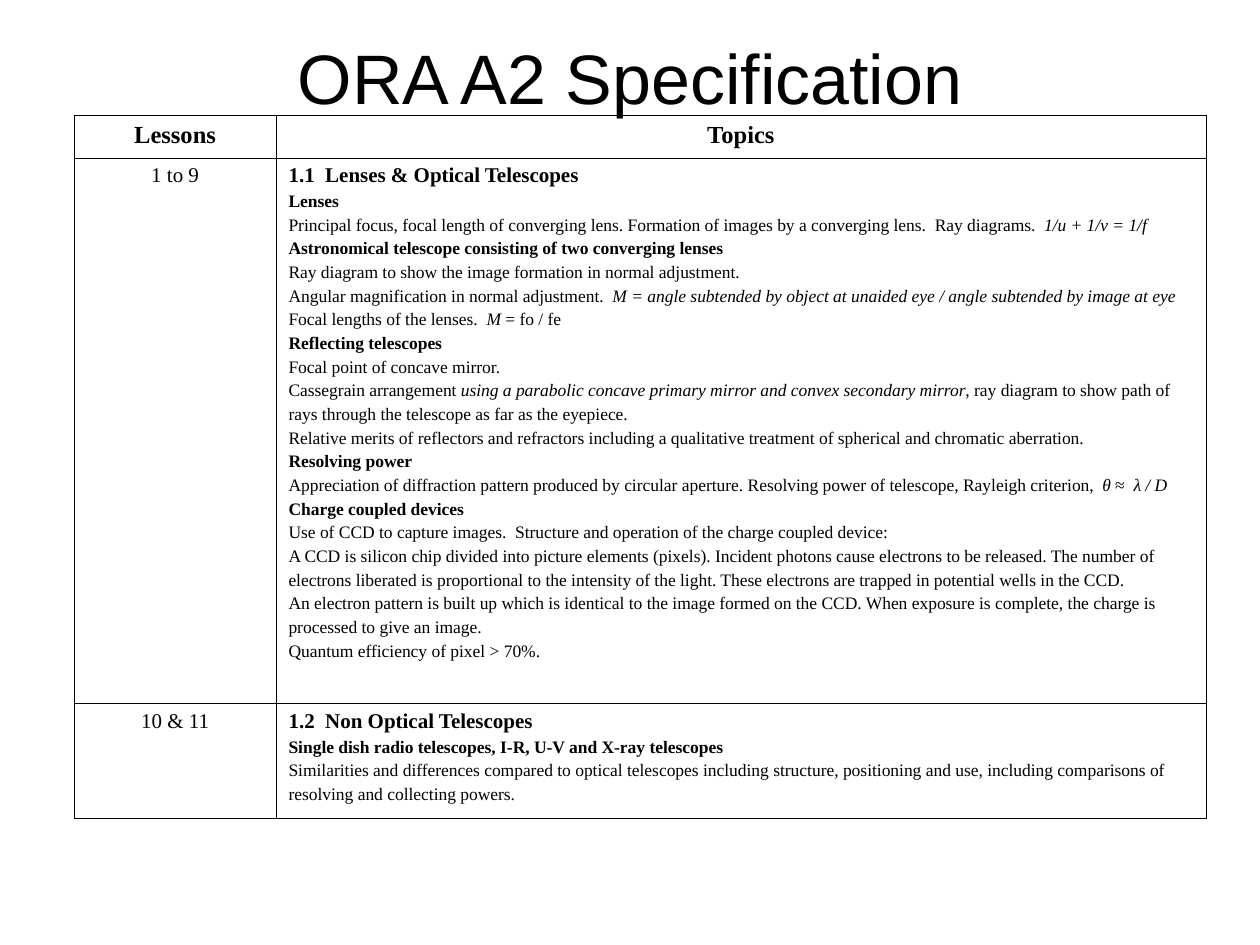
from lxml.etree import SubElement
from pptx import Presentation
from pptx.dml.color import RGBColor
from pptx.enum.text import MSO_ANCHOR as Anchor, PP_ALIGN as Align
from pptx.oxml.ns import qn
from pptx.util import Pt

INK = "000000"
SERIF = "Times New Roman"
TITLE = {"name": "Arial", "size": Pt(40), "bold": False}
HEAD = {"name": SERIF, "size": Pt(14), "bold": True}
SPAN = {"name": SERIF, "size": Pt(12), "bold": False}
UNIT = {"name": SERIF, "size": Pt(12), "bold": True}
SUB = {"name": SERIF, "size": Pt(10), "bold": True}
BODY = {"name": SERIF, "size": Pt(10), "bold": False}

LENSES = [
    "1.1  Lenses & Optical Telescopes",
    "#Lenses",
    "Principal focus, focal length of converging lens. Formation of images by a converging lens.  Ray diagrams.  *1/u + 1/v = 1/f*",
    "#Astronomical telescope consisting of two converging lenses",
    "Ray diagram to show the image formation in normal adjustment.",
    "Angular magnification in normal adjustment.*  M = angle subtended by object at unaided eye / angle subtended by image at eye*",
    "Focal lengths of the lenses.  *M *= fo / fe",
    "#Reflecting telescopes",
    "Focal point of concave mirror.",
    "Cassegrain arrangement *using a parabolic concave primary mirror and convex secondary mirror*, ray diagram to show path of",
    "rays through the telescope as far as the eyepiece.",
    "Relative merits of reflectors and refractors including a qualitative treatment of spherical and chromatic aberration.",
    "#Resolving power",
    "Appreciation of diffraction pattern produced by circular aperture. Resolving power of telescope, Rayleigh criterion, * θ *≈  *λ / D*",
    "#Charge coupled devices",
    "Use of CCD to capture images.  Structure and operation of the charge coupled device:",
    "A CCD is silicon chip divided into picture elements (pixels). Incident photons cause electrons to be released. The number of",
    "electrons liberated is proportional to the intensity of the light. These electrons are trapped in potential wells in the CCD.",
    "An electron pattern is built up which is identical to the image formed on the CCD. When exposure is complete, the charge is",
    "processed to give an image.",
    "Quantum efficiency of pixel > 70%.",
]

OTHERS = [
    "1.2  Non Optical Telescopes",
    "#Single dish radio telescopes, I-R, U-V and X-ray telescopes",
    "Similarities and differences compared to optical telescopes including structure, positioning and use, including comparisons of",
    "resolving and collecting powers.",
]

ROWS = [("Lessons", "Topics"), ("1 to 9", LENSES), ("10 & 11", OTHERS)]


def tint(code):
    """Turn a hex string into a colour."""
    return RGBColor.from_string(code)


def write(para, text, style):
    """Write text into a paragraph, with italics between asterisks."""
    for num, part in enumerate(text.split("*")):
        if part:
            run = para.add_run()
            run.text = part
            for key, val in style.items():
                setattr(run.font, key, val)
            run.font.italic = num % 2 == 1
            run.font.color.rgb = tint(INK)


def center(frame, text, style):
    """Write one centred line into a text frame."""
    para = frame.paragraphs[0]
    para.alignment = Align.CENTER
    write(para, text, style)


def topics(frame, lines):
    """Write a unit heading, then its subheadings and body lines."""
    first, *rest = lines
    write(frame.paragraphs[0], first, UNIT)
    for line in rest:
        para = frame.add_paragraph()
        para.space_before = Pt(2.5)
        write(para, line.lstrip("#"), SUB if line.startswith("#") else BODY)


def border(cell):
    """Rule all four sides of a cell."""
    props = cell._tc.get_or_add_tcPr()
    for num, side in enumerate(("lnL", "lnR", "lnT", "lnB")):
        rule = SubElement(props, qn(f"a:{side}"), w=str(Pt(0.45)))
        fill = SubElement(rule, qn("a:solidFill"))
        SubElement(fill, qn("a:srgbClr"), val=INK)
        props.insert(num, rule)


def title(slide, box, text):
    """Place the slide title in its box."""
    frame = slide.shapes.add_textbox(*map(Pt, box)).text_frame
    frame.word_wrap = True
    frame.vertical_anchor = Anchor.MIDDLE
    center(frame, text, TITLE)


def plan(slide, box, rows):
    """Place the table of lessons and topics in its box."""
    width, height = box[2:]
    table = slide.shapes.add_table(len(rows), 2, *map(Pt, box)).table
    table.first_row = table.horz_banding = False
    wide = 115.2
    for col, size in zip(table.columns, (wide, width - wide)):
        col.width = Pt(size)
    head, last = 24.5, 65.5
    for row, size in zip(table.rows, (head, height - head - last, last)):
        row.height = Pt(size)
    for num, (span, text) in enumerate(rows):
        left, right = table.rows[num].cells
        center(left.text_frame, span, SPAN if num else HEAD)
        if num:
            topics(right.text_frame, text)
        else:
            center(right.text_frame, text, HEAD)
        for cell in (left, right):
            cell.fill.background()
            border(cell)


def main():
    """Build the slide and save it."""
    deck = Presentation()
    deck.slide_width, deck.slide_height = Pt(720), Pt(540)
    slide = deck.slides.add_slide(deck.slide_layouts[6])
    title(slide, (36.7, 15.1, 646.6, 56.9), "ORA A2 Specification")
    plan(slide, (42.5, 65.8, 646.6, 401.8), ROWS)
    deck.save("out.pptx")


if __name__ == "__main__":
    main()
